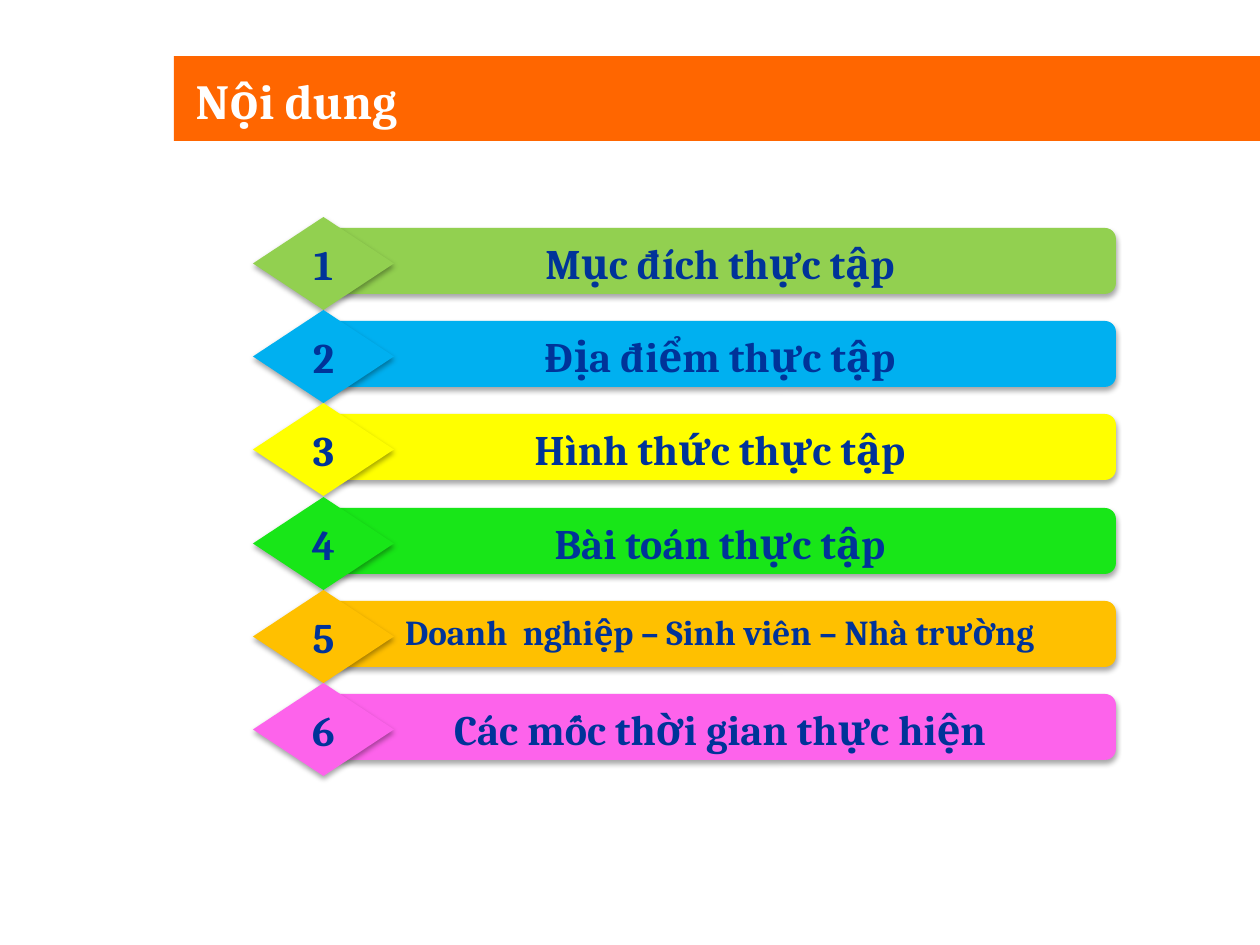
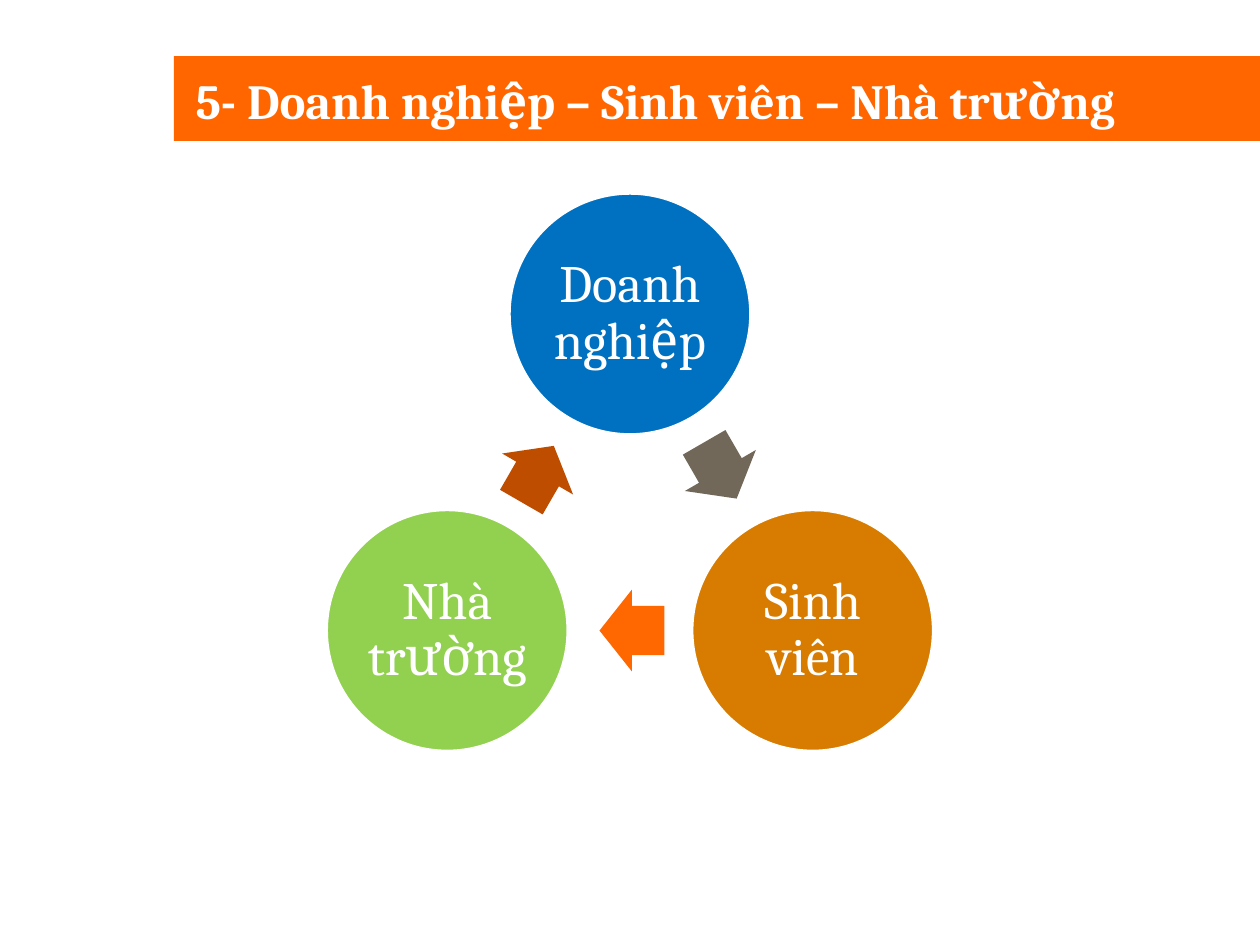
from dataclasses import dataclass
from math import cos, radians, sin

from lxml import etree
from pptx import Presentation
from pptx.dml.color import RGBColor
from pptx.enum.shapes import MSO_SHAPE
from pptx.enum.text import MSO_ANCHOR, MSO_AUTO_SIZE, PP_ALIGN
from pptx.oxml.ns import qn
from pptx.util import Emu, Pt

RECT, ROUND_RECT = MSO_SHAPE.RECTANGLE, MSO_SHAPE.ROUNDED_RECTANGLE
DIAMOND, OVAL, ARROW = MSO_SHAPE.DIAMOND, MSO_SHAPE.OVAL, MSO_SHAPE.RIGHT_ARROW
TOP, MIDDLE = MSO_ANCHOR.TOP, MSO_ANCHOR.MIDDLE
LEFT, CENTER = PP_ALIGN.LEFT, PP_ALIGN.CENTER
NO_AUTOFIT = MSO_AUTO_SIZE.NONE
TITLE_ONLY = 5
PX_PER_INCH = 126


@dataclass(frozen=True)
class Theme:
    font: str = "Cambria"
    band: str = "FF6600"
    white: str = "FFFFFF"
    navy: str = "003399"
    title_size: int = 28
    item_size: int = 24
    long_item_size: int = 20
    cycle_size: int = 30


THEME = Theme()

AGENDA = [
    ("Mục đích thực tập", "92D050", THEME.item_size),
    ("Địa điểm thực tập", "00B0F0", THEME.item_size),
    ("Hình thức thực tập", "FFFF00", THEME.item_size),
    ("Bài toán thực tập", "18E618", THEME.item_size),
    ("Doanh  nghiệp – Sinh viên – Nhà trường", "FFC000", THEME.long_item_size),
    ("Các mốc thời gian thực hiện", "FD63EB", THEME.item_size),
]

# Partner, circle colour, colour of the arrow to the next partner
CYCLE = [
    ("Doanh nghiệp", "0070C0", "71685A"),
    ("Sinh viên", "D77C01", "FF6700"),
    ("Nhà trường", "92D050", "BF4D00"),
]


def px(n):
    return Emu(round(n * 914400 / PX_PER_INCH))


def rgb(code):
    return RGBColor.from_string(code)


def set_all(obj, values):
    for name, value in values.items():
        setattr(obj, name, value)


def write(sp, text, size, color, bold=True, anchor=MIDDLE, align=CENTER):
    tf = sp.text_frame
    set_all(tf, {"word_wrap": True, "auto_size": NO_AUTOFIT,
                 "vertical_anchor": anchor})
    p = tf.paragraphs[0]
    p.alignment = align
    r = p.add_run()
    r.text = text
    set_all(r.font, {"name": THEME.font, "size": Pt(size), "bold": bold})
    r.font.color.rgb = rgb(color)
    return p


def add_shape(shapes, kind, box, fill):
    sp = shapes.add_shape(kind, *map(px, box))
    sp.shadow.inherit = False
    sp.fill.solid()
    sp.fill.fore_color.rgb = rgb(fill)
    sp.line.fill.background()
    return sp


def add_soft_shadow(sp):
    effects = sp.element.spPr.find(qn("a:effectLst"))
    shadow = etree.SubElement(effects, qn("a:outerShdw"), blurRad="40000",
                              dist="23000", dir="5400000", rotWithShape="0")
    color = etree.SubElement(shadow, qn("a:srgbClr"), val="000000")
    etree.SubElement(color, qn("a:alpha"), val="35000")


def add_band(slide):
    """Place the title band on the slide's layout, behind its placeholders."""
    band = add_shape(slide.shapes, RECT, (174, 56, 1086, 85), THEME.band)
    slide.slide_layout.shapes.element.insert(2, band.element)


def add_titled_slide(prs, title):
    slide = prs.slides.add_slide(prs.slide_layouts[TITLE_ONLY])
    sp = slide.shapes.title
    set_all(sp, {"left": px(183), "top": px(66),
                 "width": px(1053), "height": px(67)})
    write(sp, title, THEME.title_size, THEME.white, align=LEFT)
    return slide


def add_agenda_row(slide, number, top, text, color, size):
    row = slide.shapes.add_group_shape().shapes
    bar = add_shape(row, ROUND_RECT, (324, top + 11, 792, 66), color)
    write(bar, text, size, THEME.navy, anchor=TOP)
    badge = add_shape(row, DIAMOND, (253, top, 141, 93), color)
    write(badge, str(number), THEME.item_size, THEME.navy)
    for sp in (bar, badge):
        add_soft_shadow(sp)


def add_partner(shapes, x, y, text, color):
    d = 242
    sp = add_shape(shapes, OVAL, (x - d / 2, y - d / 2, d, d), color)
    sp.line.color.rgb = rgb(THEME.white)
    sp.line.width = Pt(2)
    p = write(sp, text, THEME.cycle_size, THEME.white, bold=False)
    p.line_spacing = 0.9
    sides = ("left", "right", "top", "bottom")
    set_all(sp.text_frame, {f"margin_{side}": px(5) for side in sides})


def add_cycle_arrow(shapes, x, y, rotation, color):
    w, h = 65, 82
    sp = add_shape(shapes, ARROW, (x - w / 2, y - h / 2, w, h), color)
    sp.rotation = rotation
    sp.adjustments[0] = 0.6
    sp.adjustments[1] = 0.5


def add_cycle(slide, partners):
    """Circles on the corners of a regular polygon, arrows along its sides."""
    cx, cy, radius, setback = 630, 525, 211, 2
    step = 360 / len(partners)
    side_radius = radius * cos(radians(step / 2))
    shapes = slide.shapes.add_group_shape().shapes
    for i, (text, color, arrow_color) in enumerate(partners):
        corner = radians(i * step - 90)
        add_partner(shapes, cx + radius * cos(corner),
                    cy + radius * sin(corner), text, color)
        rotation = (i + 0.5) * step
        side, heading = radians(rotation - 90), radians(rotation)
        add_cycle_arrow(shapes,
                        cx + side_radius * cos(side) - setback * cos(heading),
                        cy + side_radius * sin(side) - setback * sin(heading),
                        rotation, arrow_color)


def main():
    prs = Presentation()
    set_all(prs, {"slide_width": px(1260), "slide_height": px(945)})

    agenda = add_titled_slide(prs, "Nội dung")
    add_band(agenda)
    for i, (text, color, size) in enumerate(AGENDA):
        add_agenda_row(agenda, i + 1, 217 + 280 * i // 3, text, color, size)

    partners = add_titled_slide(prs, "5- Doanh nghiệp – Sinh viên – Nhà trường")
    add_cycle(partners, CYCLE)

    prs.save("out.pptx")


if __name__ == "__main__":
    main()
